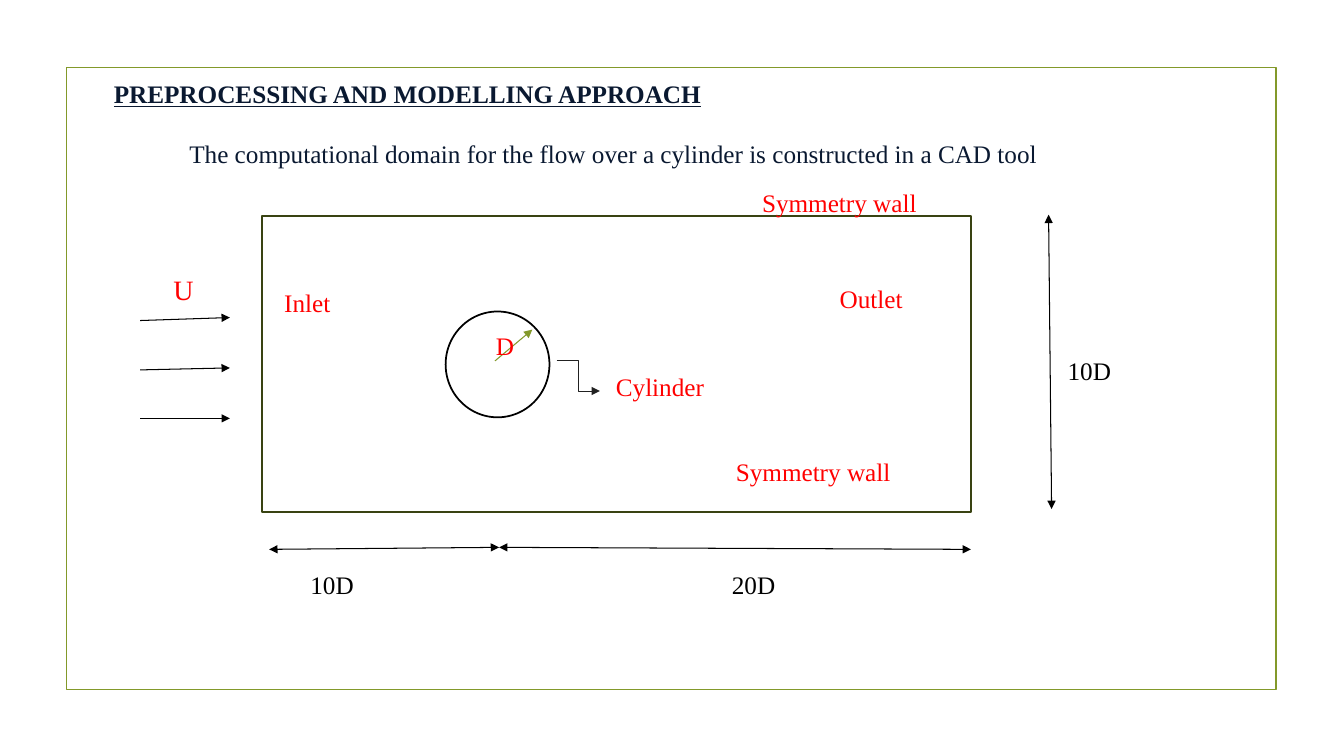
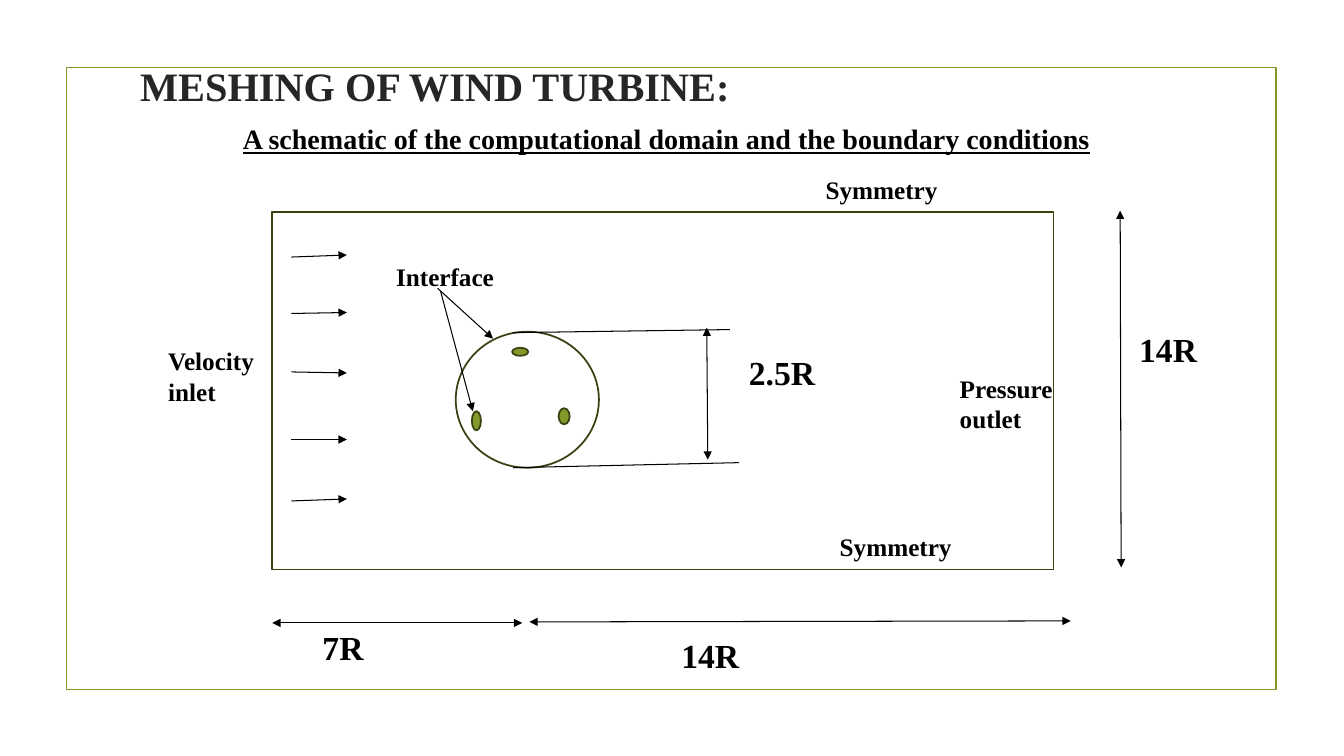
from lxml import etree
from pptx import Presentation
from pptx.dml.color import RGBColor
from pptx.enum.shapes import MSO_CONNECTOR as CONN, MSO_SHAPE as SHAPE
from pptx.enum.text import MSO_ANCHOR as ANCHOR, PP_ALIGN as ALIGN
from pptx.oxml.ns import qn
from pptx.util import Inches, Pt

# Shared look
FONT = "Times New Roman"
WHITE = RGBColor(0xFF, 0xFF, 0xFF)
BLACK = RGBColor(0x00, 0x00, 0x00)
RED = RGBColor(0xFF, 0x00, 0x00)
NAVY = RGBColor(0x0A, 0x19, 0x31)
CHARCOAL = RGBColor(0x26, 0x26, 0x26)
DARK_GRAY = RGBColor(0x21, 0x21, 0x21)
OLIVE = RGBColor(0x83, 0x99, 0x2A)
DARK_OLIVE = RGBColor(0x39, 0x43, 0x12)


def add_outline(s, kind, box, line=DARK_OLIVE, fill=WHITE):
    """Add an outlined shape; fill=None leaves it open."""
    sp = s.shapes.add_shape(kind, *map(Inches, box))
    sp.shadow.inherit = False
    if fill is None:
        sp.fill.background()
    else:
        sp.fill.solid()
        sp.fill.fore_color.rgb = fill
    sp.line.color.rgb = line
    sp.line.width = Pt(1.25)
    return sp


def add_text(s, text, box, size=18, color=BLACK, bold=False,
             underline=False, align=ALIGN.LEFT, anchor=ANCHOR.TOP):
    tf = s.shapes.add_textbox(*map(Inches, box)).text_frame
    tf.word_wrap = True
    tf.vertical_anchor = anchor
    p = tf.paragraphs[0]
    p.text = text
    p.alignment = align
    font = p.runs[0].font
    font.name = FONT
    font.size = Pt(size)
    font.bold = bold
    font.underline = underline
    font.color.rgb = color


def add_line(s, ends, heads=("tailEnd",), color=BLACK, kind=CONN.STRAIGHT):
    """Add a line from ends (x1, y1, x2, y2) with the named arrowheads."""
    cn = s.shapes.add_connector(kind, *map(Inches, ends))
    cn.line.color.rgb = color
    cn.line.width = Pt(0.75)
    ln = cn.line._get_or_add_ln()
    for head in heads:
        etree.SubElement(ln, qn("a:" + head)).set("type", "triangle")
    etree.SubElement(cn._element.spPr, qn("a:effectLst"))


def add_dimension(s, ends):
    add_line(s, ends, ("headEnd", "tailEnd"))


def add_framed_slide(prs):
    s = prs.slides.add_slide(prs.slide_layouts[6])
    add_outline(s, SHAPE.RECTANGLE, (0.66, 0.67, 12, 6.17), OLIVE, None)
    return s


def build_cylinder_domain(prs):
    s = add_framed_slide(prs)
    add_text(s, "PREPROCESSING AND MODELLING APPROACH", (1.03, 0.73, 11.41, 0.4),
             color=NAVY, bold=True, underline=True)
    add_text(s, "The computational domain for the flow over a cylinder "
             "is constructed in a CAD tool", (1.78, 1.32, 10.66, 0.4), color=NAVY)

    # Domain and cylinder
    add_outline(s, SHAPE.RECTANGLE, (2.6, 2.14, 7.03, 2.94))
    add_outline(s, SHAPE.FLOWCHART_CONNECTOR, (4.42, 3.09, 1.03, 1.05), BLACK)
    add_line(s, (4.91, 3.58, 5.28, 3.27), color=OLIVE)
    add_line(s, (5.52, 3.58, 5.95, 3.88), color=DARK_GRAY, kind=CONN.ELBOW)

    # Dimensions
    for ends in ((2.67, 5.45, 4.95, 5.43), (4.95, 5.43, 9.63, 5.45),
                 (10.4, 2.13, 10.43, 5.05)):
        add_dimension(s, ends)
    for text, x, y, w in (("10D", 2.98, 5.6, 1.71), ("20D", 7.16, 5.6, 2.38),
                          ("10D", 10.49, 3.48, 0.79)):
        add_text(s, text, (x, y, w, 0.4))

    # Incoming flow
    for y1, y2 in ((3.18, 3.15), (3.67, 3.65), (4.15, 4.15)):
        add_line(s, (1.39, y1, 2.28, y2))
    add_text(s, "U", (1.62, 2.65, 1.31, 0.44), 20, RED)

    # Boundary labels
    for text, x, y, w in (("Symmetry wall", 7.2, 4.48, 2.34),
                          ("Symmetry wall", 7.46, 1.81, 1.87),
                          ("Inlet", 2.72, 2.8, 1.25),
                          ("Outlet", 8.23, 2.76, 1.27),
                          ("Cylinder", 6.01, 3.63, 1.19),
                          ("D", 4.82, 3.23, 0.4)):
        add_text(s, text, (x, y, w, 0.4), color=RED)


def build_turbine_domain(prs):
    s = add_framed_slide(prs)
    add_text(s, "MESHING OF WIND TURBINE:", (0.79, 0.63, 7.05, 0.43), 28.8,
             CHARCOAL, True, align=ALIGN.CENTER, anchor=ANCHOR.MIDDLE)
    add_text(s, "A schematic of the computational domain and the boundary conditions",
             (2.31, 1.16, 8.89, 0.44), 20, bold=True, underline=True)

    # Domain, rotor and blades
    add_outline(s, SHAPE.RECTANGLE, (2.7, 2.1, 7.75, 3.55))
    add_outline(s, SHAPE.OVAL, (4.52, 3.29, 1.42, 1.35))
    for blade in ((5.08, 3.45, 0.16, 0.08), (4.68, 4.08, 0.09, 0.19),
                  (5.54, 4.05, 0.11, 0.16)):
        add_outline(s, SHAPE.OVAL, blade, fill=OLIVE)

    # Incoming flow
    for y1, y2 in ((2.55, 2.53), (3.11, 3.1), (3.69, 3.7), (4.36, 4.36), (4.97, 4.95)):
        add_line(s, (2.89, y1, 3.44, y2))

    # Dimensions
    for ends in ((5.09, 3.3, 7.24, 3.27), (5.09, 4.64, 7.33, 4.59)):
        add_line(s, ends, heads=())
    for ends in ((2.7, 6.18, 5.18, 6.18), (5.25, 6.17, 10.62, 6.16),
                 (11.11, 2.09, 11.12, 5.63), (7.02, 4.56, 7.01, 3.25)):
        add_dimension(s, ends)
    for text, x, y, w in (("7R", 3.1, 6.17, 1.66), ("14R", 6.66, 6.25, 3.07),
                          ("2.5R", 7.33, 3.44, 1.03), ("14R", 11.2, 3.21, 0.83)):
        add_text(s, text, (x, y, w, 0.5), 24, bold=True)

    # Interface pointers
    for ends in ((4.34, 2.86, 4.89, 3.36), (4.37, 2.89, 4.69, 4.08)):
        add_line(s, ends)

    # Boundary labels
    for text, x, y, w, h in (("Velocity inlet", 1.57, 3.38, 1.5, 0.71),
                             ("Pressure outlet", 9.42, 3.65, 1.49, 0.71),
                             ("Symmetry", 8.09, 1.68, 2.96, 0.4),
                             ("Symmetry", 8.23, 5.22, 2.23, 0.4),
                             ("Interface", 3.83, 2.54, 1.58, 0.4)):
        add_text(s, text, (x, y, w, h), bold=True)


def main():
    prs = Presentation()
    prs.slide_width = Inches(13.33)
    prs.slide_height = Inches(7.5)
    build_cylinder_domain(prs)
    build_turbine_domain(prs)
    prs.save("out.pptx")


if __name__ == "__main__":
    main()
